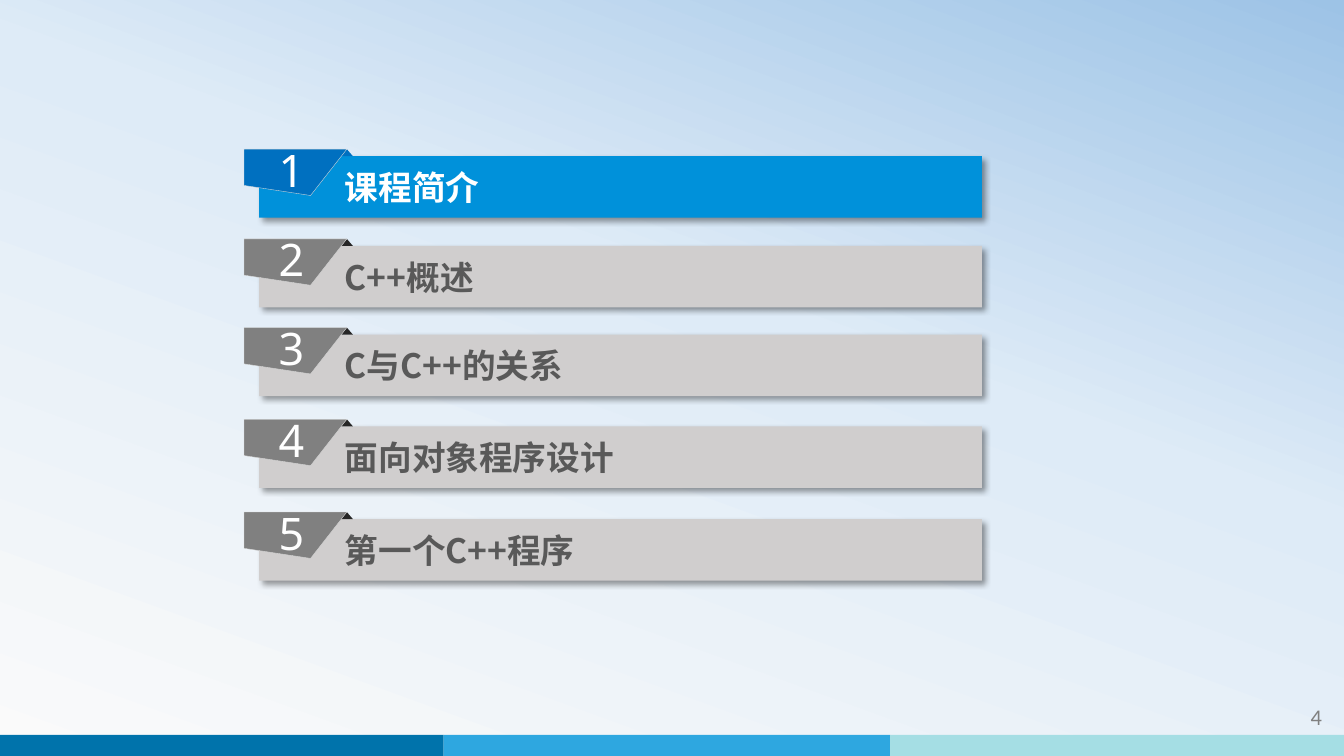
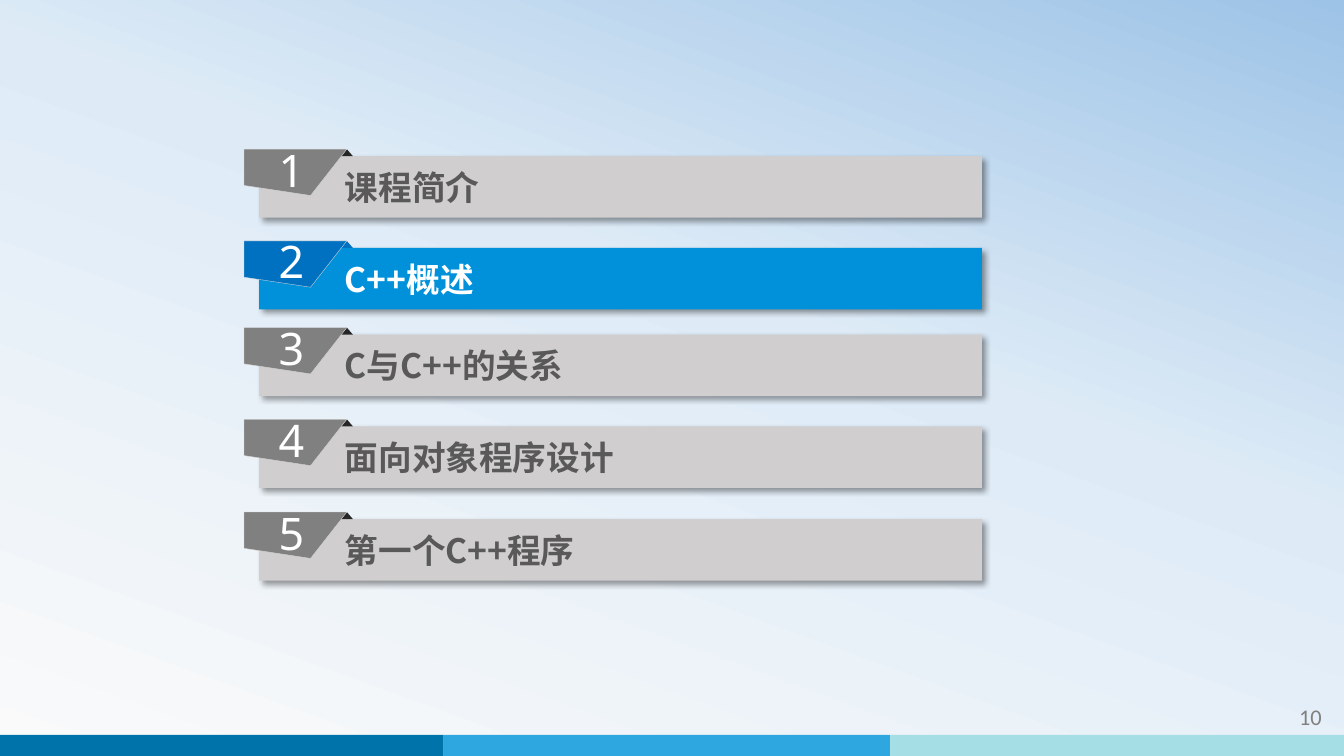
from copy import deepcopy
from itertools import pairwise

from lxml import etree
from pptx import Presentation
from pptx import util as u
from pptx.dml.color import RGBColor
from pptx.enum import shapes, text
from pptx.oxml.ns import qn

COLORS = {
    "band_dark": "0073AB", "band_mid": "2EA7E0", "band_light": "A5DEE4",
    "bar": "D0CECE", "tab": "808080", "fold": "262626", "label": "595959",
    "bar_current": "0091DA", "tab_current": "0070C0",
    "tab_line": "D9D9D9", "white": "FFFFFF", "shadow": "000000",
}
BACKGROUND_STOPS = ((0, "FAFAFA"), (0.58, "DEEBF7"), (1, "9DC3E6"))
BAND_EDGES = (0, 4.4, 8.83, 13.33)
BAND_TOP = 7.29

TOPICS = ("课程简介", "C++概述", "C与C++的关系", "面向对象程序设计", "第一个C++程序")
TAB_TOPS = (1.48, 2.37, 3.25, 4.16, 5.08)
TAB_OUTLINE = ((0, 0), (1.02, 0), (0.66, 0.46), (0, 0.36))
TAB_LEFT = 2.42
FOLD_HEIGHT = 0.07


def rgb(name):
    return RGBColor.from_string(COLORS[name])


def paint(shape, color, line=None):
    shape.shadow.inherit = False
    shape.fill.solid()
    shape.fill.fore_color.rgb = rgb(color)
    if line:
        shape.line.color.rgb = rgb(line)
        shape.line.width = u.Pt(0.25)
    else:
        shape.line.fill.background()


def add_preset(parent, kind, left, top, width, height, color):
    shape = parent.add_shape(kind, *map(u.Inches, (left, top, width, height)))
    paint(shape, color)
    return shape


def add_shadow(shape):
    effects = shape.element.spPr.find(qn("a:effectLst"))
    outer = etree.SubElement(
        effects, qn("a:outerShdw"), blurRad=str(u.Pt(4)), dist=str(u.Pt(3)),
        dir=str(45 * 60000), algn="tl", rotWithShape="0")
    color = etree.SubElement(outer, qn("a:srgbClr"), val=COLORS["shadow"])
    etree.SubElement(color, qn("a:alpha"), val="40000")


def write(shape, words, *, font, size, color, bold=False,
          align=text.PP_ALIGN.LEFT, insets=(0.1, 0.05, 0.1, 0.05)):
    """Fill the shape with one formatted, vertically centred line."""
    frame = shape.text_frame
    frame.text = ""
    frame.word_wrap = True
    frame.vertical_anchor = text.MSO_ANCHOR.MIDDLE
    (frame.margin_left, frame.margin_top,
     frame.margin_right, frame.margin_bottom) = map(u.Inches, insets)
    para = frame.paragraphs[0]
    para.alignment = align
    span = para.add_run()
    span.text = words
    span.font.size = u.Pt(size)
    span.font.bold = bold
    span.font.color.rgb = rgb(color)
    span.font.name = font
    etree.SubElement(span._r.get_or_add_rPr(), qn("a:ea"), typeface=font)


def set_background(master):
    fill = master.background.fill
    fill.gradient()
    fill.gradient_angle = 70
    stop_list = master.element.xpath("p:cSld/p:bg//a:gsLst")[0]
    stop_list.append(deepcopy(stop_list[0]))
    for stop, (position, color) in zip(fill.gradient_stops, BACKGROUND_STOPS):
        stop.position = position
        stop.color.rgb = RGBColor.from_string(color)


def add_master_bands(master, page):
    """Draw the bands on a page, then move them behind the master's placeholders."""
    names = ("band_dark", "band_mid", "band_light")
    for index, ((left, right), name) in enumerate(zip(pairwise(BAND_EDGES), names)):
        band = add_preset(page.shapes, shapes.MSO_SHAPE.RECTANGLE,
                          left, BAND_TOP, right - left, 7.5 - BAND_TOP, name)
        band.element.nvSpPr.cNvPr.set("id", str(100 + index))
        master.shapes.element.insert(2 + index, band.element)


def place_number_holder(layout):
    holder = next(item for item in layout.placeholders
                  if item.placeholder_format.type == shapes.PP_PLACEHOLDER.SLIDE_NUMBER)
    holder.left, holder.top, holder.width, holder.height = map(
        u.Inches, (11.62, 6.91, 1.59, 0.4))
    return holder


def add_page_number(page, holder, number):
    page.shapes.element.append(deepcopy(holder.element))
    write(page.placeholders[holder.placeholder_format.idx], str(number),
          font="Calibri", size=16, color="tab", align=text.PP_ALIGN.RIGHT)


def add_topic(page, number, label, top, current):
    """Add a bar with a folded, numbered tab on its left end."""
    suffix = "_current" if current else ""
    parts = page.shapes.add_group_shape().shapes

    bar = add_preset(parts, shapes.MSO_SHAPE.RECTANGLE,
                     2.57, top + FOLD_HEIGHT, 7.17, 0.61, "bar" + suffix)
    add_shadow(bar)
    write(bar, label, font="Noto Sans CJK SC", size=24, bold=True,
          color="white" if current else "label", insets=(0.85, 0.05, 0.1, 0.05))

    add_preset(parts, shapes.MSO_SHAPE.ISOSCELES_TRIANGLE,
               3.38, top, 0.12, FOLD_HEIGHT, "tab_current" if current else "fold")

    corners = [(u.Inches(TAB_LEFT + x), u.Inches(top + y)) for x, y in TAB_OUTLINE]
    builder = parts.build_freeform(*corners[0])
    builder.add_line_segments(corners[1:], close=True)
    tab = builder.convert_to_shape()
    paint(tab, "tab" + suffix, line="tab_line")
    write(tab, str(number), font="Noto Sans", size=32, color="white",
          align=text.PP_ALIGN.CENTER, insets=(0.09, 0.04, 0.17, 0.1))


def add_agenda(page, current, tops):
    for number, (label, top) in enumerate(zip(TOPICS, tops), start=1):
        add_topic(page, number, label, top, number == current)


def main():
    deck = Presentation()
    deck.slide_width, deck.slide_height = u.Inches(13.33), u.Inches(7.5)
    layout = deck.slide_layouts[6]
    set_background(deck.slide_master)
    holder = place_number_holder(layout)

    second_tops = (TAB_TOPS[0], 2.39, *TAB_TOPS[2:])
    agendas = ((4, 1, TAB_TOPS), (10, 2, second_tops))
    for page_number, current, tops in agendas:
        page = deck.slides.add_slide(layout)
        add_page_number(page, holder, page_number)
        add_agenda(page, current, tops)

    add_master_bands(deck.slide_master, deck.slides[0])
    deck.save("out.pptx")


if __name__ == "__main__":
    main()
